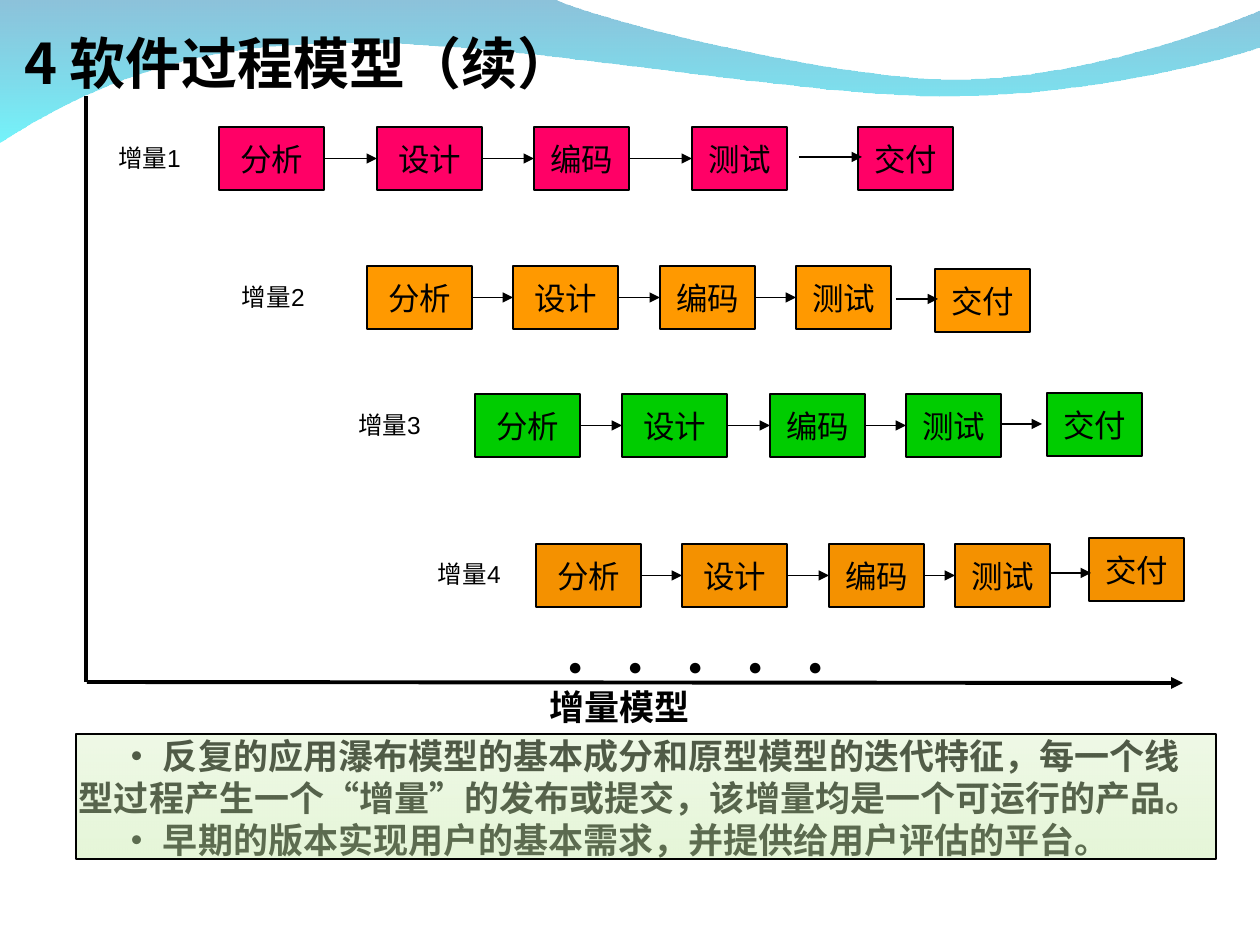
"""Builds the incremental-model slide: four staggered delivery pipelines on time axes."""
from lxml import etree
from pptx import Presentation
from pptx import util as u
from pptx.dml.color import RGBColor
from pptx.enum import shapes, text
from pptx.oxml.ns import qn

COLORS = {
    "black": "000000", "pink": "FF0066", "amber": "FF9900", "green": "00CC00",
    "orange": "F49100", "wave_top": "0079AF", "wave_end": "00EBF8",
    "note_top": "D3EFBB", "note_end": "CAECAE",
}
CJK = "Noto Sans CJK SC"
STAGES = ["分析", "设计", "编码", "测试", "交付"]
WIDTHS = [105, 105, 95, 95, 95]
BOX_H = 63
ROWS = [
    ("增量1", 105, 137, "pink", 127, [219, 377, 534, 692, 858], 127, (799, 862, 157)),
    ("增量2", 229, 276, "amber", 266, [367, 513, 660, 796, 935], 269, (896, 938, 299)),
    ("增量3", 345, 404, "green", 394, [475, 622, 770, 906, 1047], 393, (1000, 1042, 424)),
    ("增量4", 425, 553, "orange", 544, [536, 682, 829, 955, 1089], 538, (1049, 1091, 573)),
]
WAVE = [
    [(1, 0), (556, 0)],
    [(556, 0), (600, 21), (837, 79), (956, 79)],
    [(956, 79), (1075, 79), (1207, 33), (1260, 11)],
    [(1260, 11), (1261, 47)],
    [(1261, 47), (1239, 55), (1096, 96), (940, 96)],
    [(940, 96), (784, 95), (481, 35), (325, 44)],
    [(325, 44), (164, 45), (59, 105), (0, 142)],
]
NOTES = [
    "• 反复的应用瀑布模型的基本成分和原型模型的迭代特征，每一个线型过程产生一个“增量”的发布或提交，该增量均是一个可运行的产品。",
    "• 早期的版本实现用户的基本需求，并提供给用户评估的平台。",
]


def px(n):
    return round(n * 914400 / 126)


def rgb(name):
    return RGBColor.from_string(COLORS[name])


def bezier(points, steps=24):
    if len(points) == 2:
        return points[1:]
    weights = [((1 - t) ** 3, 3 * t * (1 - t) ** 2, 3 * t * t * (1 - t), t ** 3)
               for t in (i / steps for i in range(1, steps + 1))]
    return [tuple(sum(w * p[axis] for w, p in zip(ws, points)) for axis in (0, 1))
            for ws in weights]


def write(tf, lines, size, font="Arial", bold=False, align=text.PP_ALIGN.LEFT,
          anchor=text.MSO_ANCHOR.TOP, wrap=True, insets=(13, 6, 13, 6), indent=0, spacing=None):
    tf.word_wrap = wrap
    tf.vertical_anchor = anchor
    tf.margin_left, tf.margin_top, tf.margin_right, tf.margin_bottom = map(px, insets)
    for i, line in enumerate(lines):
        p = tf.paragraphs[0] if i == 0 else tf.add_paragraph()
        p.alignment = align
        if indent:
            p._p.get_or_add_pPr().set("indent", str(px(indent)))
        if spacing:
            p.line_spacing = u.Pt(spacing)
        r = p.add_run()
        r.text = line
        r.font.size, r.font.bold, r.font.name = u.Pt(size), bold, font
        r.font.color.rgb = rgb("black")
        etree.SubElement(r._r.get_or_add_rPr(), qn("a:ea"), typeface=CJK)


class Deck:
    """Holds the line style and the current slide."""

    def __init__(self, prs, line_width=0.75):
        self.line_width = line_width
        self.s = prs.slides.add_slide(prs.slide_layouts[6])

    def gradient(self, sp, stops):
        sp.fill.gradient()
        sp.fill.gradient_angle = 270
        for stop, (name, opacity) in zip(sp.fill.gradient_stops, stops):
            stop.color.rgb = rgb(name)
            color = stop._gs.find(qn("a:srgbClr"))
            etree.SubElement(color, qn("a:alpha"), val=str(opacity * 1000))

    def wave(self, segments, stops):
        (x, y), *_ = segments[0]
        fb = self.s.shapes.build_freeform(px(x), px(y))
        fb.add_line_segments([(px(a), px(b)) for seg in segments for a, b in bezier(seg)])
        sp = fb.convert_to_shape()
        sp.shadow.inherit = False
        sp.line.fill.background()
        self.gradient(sp, stops)

    def label(self, x, y, w, h, lines, size, **fmt):
        sp = self.s.shapes.add_textbox(px(x), px(y), px(w), px(h))
        write(sp.text_frame, lines, size, **fmt)

    def box(self, x, y, w, h, fill=None, stops=None, caption=None):
        sp = self.s.shapes.add_shape(shapes.MSO_SHAPE.RECTANGLE, px(x), px(y), px(w), px(h))
        sp.shadow.inherit = False
        sp.line.color.rgb = rgb("black")
        sp.line.width = u.Pt(self.line_width)
        if stops:
            self.gradient(sp, stops)
        else:
            sp.fill.solid()
            sp.fill.fore_color.rgb = rgb(fill)
        if caption:
            write(sp.text_frame, [caption], 18, align=text.PP_ALIGN.CENTER,
                  anchor=text.MSO_ANCHOR.MIDDLE, wrap=False)
        return sp

    def line(self, x1, y1, x2, y2, width=None, arrow=True):
        c = self.s.shapes.add_connector(shapes.MSO_CONNECTOR.STRAIGHT,
                                        px(x1), px(y1), px(x2), px(y2))
        c.line.color.rgb = rgb("black")
        c.line.width = u.Pt(width or self.line_width)
        if arrow:
            etree.SubElement(c.line._get_or_add_ln(), qn("a:tailEnd"), type="triangle")
        etree.SubElement(c._element.spPr, qn("a:effectLst"))
        return c

    def join(self, left, right):
        c = self.line(0, 0, 1, 1)
        c.begin_connect(left, 3)
        c.end_connect(right, 1)

    def pipeline(self, name, label_x, label_y, color, top, lefts, last_top, last_arrow):
        self.label(label_x, label_y, 95, 43, [name], 14)
        tops = [top] * 4 + [last_top]
        boxes = [self.box(x, y, w, BOX_H, color, caption=stage)
                 for x, y, w, stage in zip(lefts, tops, WIDTHS, STAGES)]
        for left, right in zip(boxes[:3], boxes[1:4]):
            self.join(left, right)
        x1, x2, y = last_arrow
        self.line(x1, y, x2, y)


def main():
    prs = Presentation()
    prs.slide_width, prs.slide_height = px(1260), px(945)
    deck = Deck(prs)
    deck.wave(WAVE, [("wave_top", 45), ("wave_end", 55)])
    deck.label(24, 8, 1029, 88, ["4 软件过程模型（续）"], 32, font=CJK, bold=True,
               anchor=text.MSO_ANCHOR.BOTTOM, insets=(0, 6, 0, 0))
    deck.line(86, 682, 86, 96, width=2.25, arrow=False)
    deck.line(87, 682, 1183, 683, width=2.25)
    for row in ROWS:
        deck.pipeline(*row)
    for i in range(5):
        deck.label(555 + 60 * i, 645, 40, 43, ["●"], 14, font="Times New Roman", wrap=False)
    deck.label(66, 728, 1150, 138, NOTES, 20, font=CJK, bold=True, indent=41, spacing=24)
    deck.box(76, 734, 1140, 125, stops=[("note_top", 37), ("note_end", 48)])
    deck.label(421, 679, 397, 55, ["增量模型"], 20, font="Times New Roman", bold=True,
               align=text.PP_ALIGN.CENTER)
    prs.save("out.pptx")


if __name__ == "__main__":
    main()
